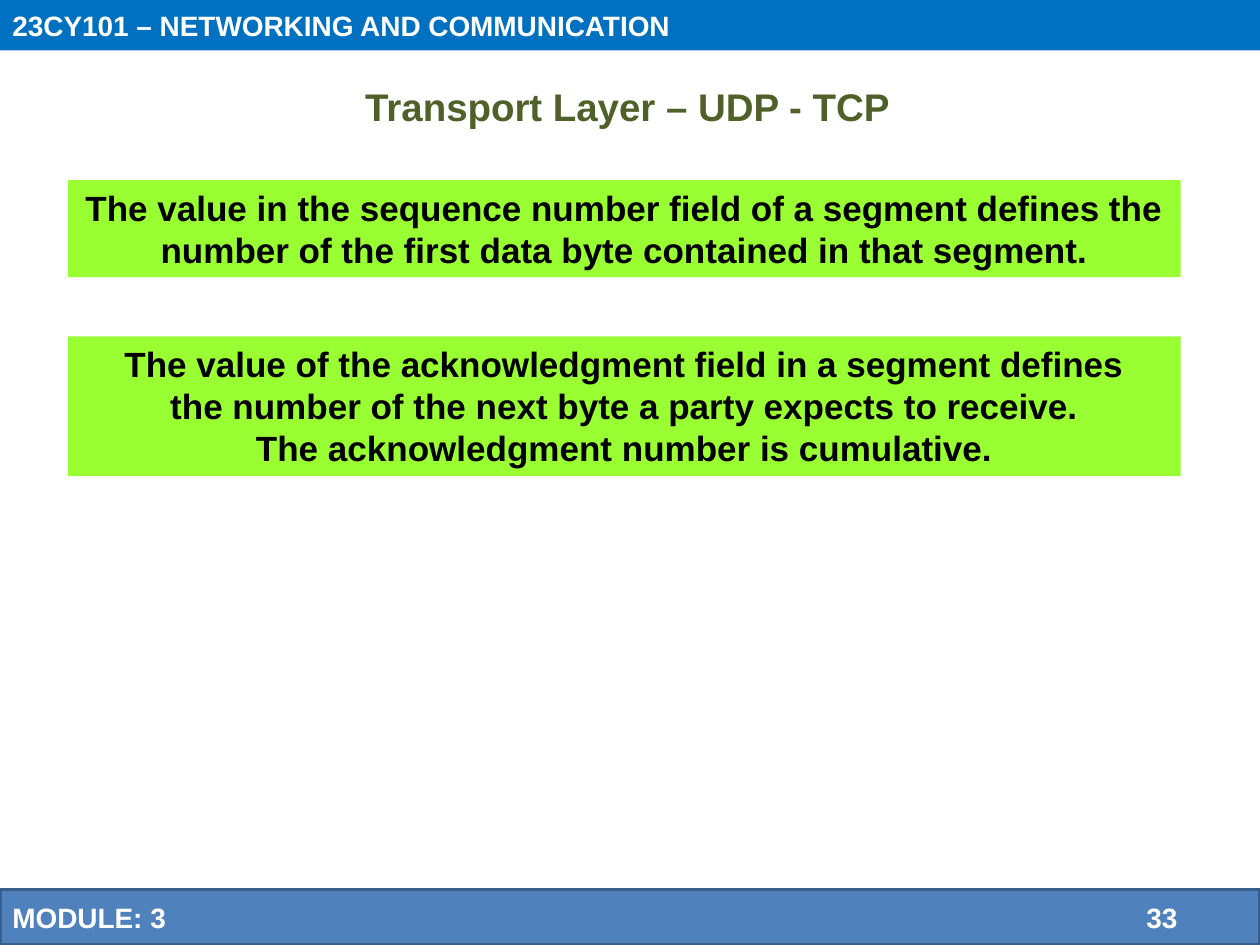
from lxml import etree
from pptx import Presentation
from pptx.dml.color import RGBColor
from pptx.enum import shapes, text
from pptx.oxml import ns
from pptx.util import Inches, Pt

WHITE = RGBColor(0xFF, 0xFF, 0xFF)
BLACK = RGBColor(0, 0, 0)
OLIVE = RGBColor(0x4F, 0x61, 0x28)
LIME = RGBColor(0x99, 0xFF, 0x33)
HEADER_BLUE = RGBColor(0x00, 0x70, 0xC0)
FOOTER_BLUE = RGBColor(0x4F, 0x81, 0xBD)
FOOTER_EDGE = RGBColor(0x39, 0x5E, 0x89)

LEFT, CENTER = text.PP_ALIGN.LEFT, text.PP_ALIGN.CENTER
TOP, MIDDLE = text.MSO_ANCHOR.TOP, text.MSO_ANCHOR.MIDDLE


def write(sp, content, size=16, color=WHITE, align=LEFT, anchor=MIDDLE):
    tf = sp.text_frame
    tf.word_wrap = True
    tf.auto_size = text.MSO_AUTO_SIZE.NONE
    tf.vertical_anchor = anchor
    tf.margin_left = tf.margin_right = Inches(0.1)
    tf.margin_top = tf.margin_bottom = Inches(0.05)
    tf.text = content
    for p in tf.paragraphs:
        p.alignment = align
        for r in p.runs:
            r.font.name = "Arial"
            r.font.size = Pt(size)
            r.font.bold = True
            r.font.color.rgb = color


def add_box(s, box, fill, line=None):
    sp = s.shapes.add_shape(shapes.MSO_SHAPE.RECTANGLE, *map(Inches, box))
    sp.shadow.inherit = False
    sp.fill.solid()
    sp.fill.fore_color.rgb = fill
    if line is None:
        sp.line.fill.background()
    else:
        sp.line.color.rgb = line
        sp.line.width = Pt(2)
    return sp


def place_title(s, box, content):
    sp = s.shapes.title
    sp.left, sp.top, sp.width, sp.height = map(Inches, box)
    write(sp, content, size=22, color=OLIVE, align=CENTER, anchor=TOP)


def add_statement(s, box, lines):
    sp = add_box(s, box, LIME)
    write(sp, "\n".join(lines), size=20, color=BLACK, align=CENTER, anchor=TOP)


def add_header(s, box, course):
    write(add_box(s, box, HEADER_BLUE), course)


def add_footer(s, box, module, number):
    sp = add_box(s, box, FOOTER_BLUE, FOOTER_EDGE)
    write(sp, f"{module}\t{number}")
    pPr = sp.text_frame.paragraphs[0]._p.get_or_add_pPr()
    tabs = etree.SubElement(pPr, ns.qn("a:tabLst"))
    etree.SubElement(tabs, ns.qn("a:tab"), pos=str(Inches(9)), algn="l")


def main():
    prs = Presentation()
    prs.slide_width, prs.slide_height = Inches(10), Inches(7.5)
    s = prs.slides.add_slide(prs.slide_layouts[5])
    place_title(s, (0.04, 0.61, 9.88, 0.47), "Transport Layer – UDP - TCP")
    add_statement(s, (0.54, 1.43, 8.83, 0.77), [
        "The value in the sequence number field of a segment defines the",
        "number of the first data byte contained in that segment.",
    ])
    add_statement(s, (0.54, 2.67, 8.83, 1.11), [
        "The value of the acknowledgment field in a segment defines",
        "the number of the next byte a party expects to receive.",
        "The acknowledgment number is cumulative.",
    ])
    add_header(s, (0, 0, 10, 0.4), "23CY101 – NETWORKING AND COMMUNICATION")
    add_footer(s, (0, 7.06, 10, 0.44), "MODULE: 3", 33)
    prs.save("out.pptx")


if __name__ == "__main__":
    main()
